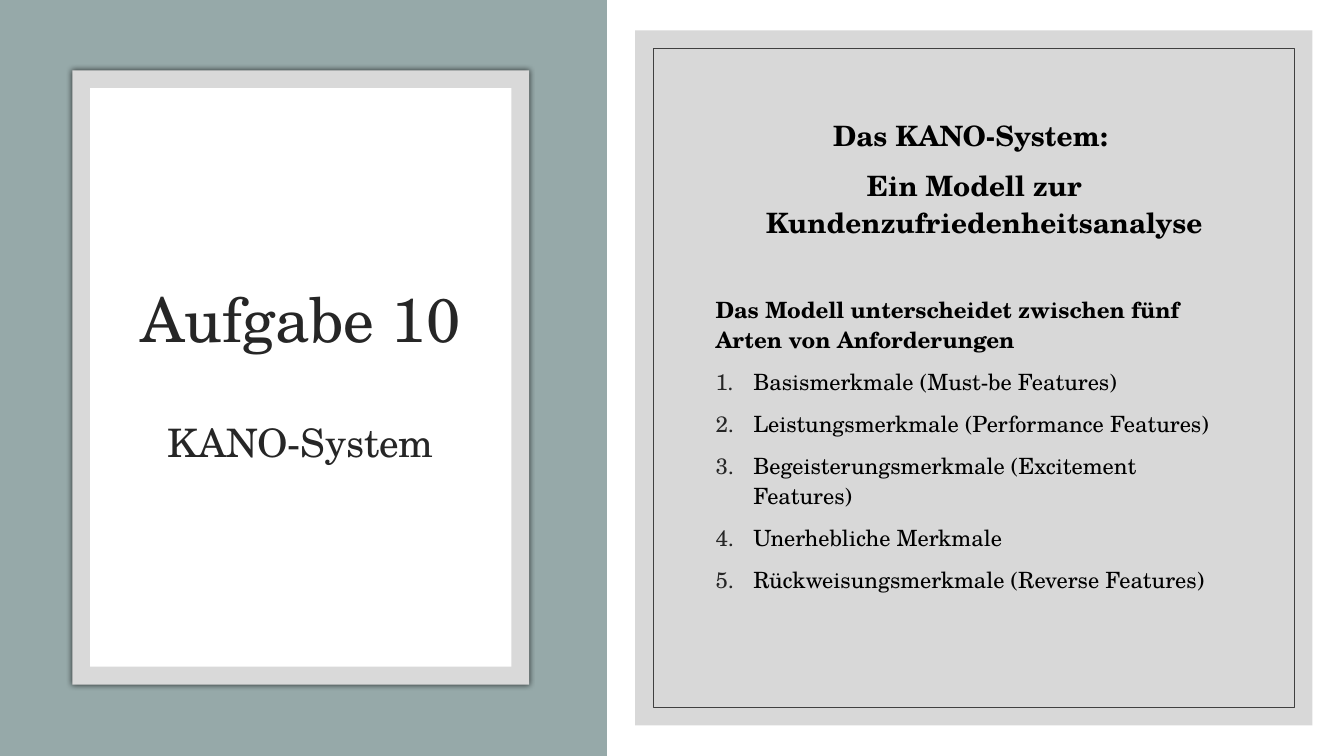
from lxml import etree
from pptx import Presentation
from pptx.dml.color import RGBColor
from pptx.enum.shapes import MSO_SHAPE
from pptx.enum.text import MSO_ANCHOR, PP_ALIGN
from pptx.oxml.ns import qn
from pptx.util import Pt

PX = 9525
FONT = "TeX Gyre Schola"
RECTANGLE = MSO_SHAPE.RECTANGLE
CENTER, LEFT = PP_ALIGN.CENTER, PP_ALIGN.LEFT
TOP, MIDDLE = MSO_ANCHOR.TOP, MSO_ANCHOR.MIDDLE

WHITE = RGBColor(0xFF, 0xFF, 0xFF)
BLACK = RGBColor(0x00, 0x00, 0x00)
SAGE = RGBColor(0x96, 0xA9, 0xA9)
FRAME_GRAY = RGBColor(0xD9, 0xD9, 0xD9)
PANEL_GRAY = RGBColor(0xBF, 0xBF, 0xBF)
OUTLINE = RGBColor(0x40, 0x40, 0x40)
INK = RGBColor(0x26, 0x26, 0x26)

HEADINGS = ["Das KANO-System: ", "Ein Modell zur Kundenzufriedenheitsanalyse"]
INTRO = "Das Modell unterscheidet zwischen fünf Arten von Anforderungen"
FEATURES = [
    "Basismerkmale (Must-be Features)",
    "Leistungsmerkmale (Performance Features)",
    "Begeisterungsmerkmale (Excitement Features)",
    "Unerhebliche Merkmale",
    "Rückweisungsmerkmale (Reverse Features)",
]


def inset(box, margin):
    left, top, width, height = box
    return left + margin, top + margin, width - 2 * margin, height - 2 * margin


def add_rectangle(slide, box, fill=None, line=None):
    shape = slide.shapes.add_shape(RECTANGLE, *(value * PX for value in box))
    shape.shadow.inherit = False
    if fill is None:
        shape.fill.background()
    else:
        shape.fill.solid()
        shape.fill.fore_color.rgb = fill
    if line is None:
        shape.line.fill.background()
    else:
        shape.line.color.rgb = line
        shape.line.width = Pt(0.5)
    return shape


def add_alpha(color_element, percent):
    etree.SubElement(color_element, qn("a:alpha"), val=str(percent * 1000))


def add_shadow(shape):
    effects = shape._element.spPr.find(qn("a:effectLst"))
    shadow = etree.SubElement(effects, qn("a:outerShdw"), blurRad=str(Pt(4)), dist="0", dir="0")
    add_alpha(etree.SubElement(shadow, qn("a:srgbClr"), val=str(BLACK)), 66)


def add_text_frame(slide, box, anchor):
    frame = slide.shapes.add_textbox(*(value * PX for value in box)).text_frame
    frame.word_wrap = True
    frame.vertical_anchor = anchor
    frame.margin_top = frame.margin_bottom = 0
    return frame


def add_paragraph(frame, text, size, color, spacing, before=0, align=LEFT,
                  bold=False, hanging=0, numbered=False):
    first = frame.paragraphs[0]
    paragraph = frame.add_paragraph() if first.runs else first
    properties = paragraph._p.get_or_add_pPr()
    if hanging:
        properties.set("marL", str(hanging * PX))
        properties.set("indent", str(-hanging * PX))
    if numbered:
        bullet_color = etree.SubElement(properties, qn("a:buClr"))
        etree.SubElement(bullet_color, qn("a:srgbClr"), val=str(INK))
        etree.SubElement(properties, qn("a:buFont"), typeface=FONT)
        etree.SubElement(properties, qn("a:buAutoNum"), type="arabicPeriod")
    paragraph.alignment = align
    paragraph.line_spacing = spacing
    paragraph.space_before = Pt(before)
    run = paragraph.add_run()
    run.text = text
    run.font.name = FONT
    run.font.size = Pt(size)
    run.font.bold = bold
    run.font.color.rgb = color


def add_title_panel(slide, box):
    left, top, width, height = box
    add_rectangle(slide, box, SAGE)
    card = (left + 69, top + 67, 435, 585)
    add_shadow(add_rectangle(slide, card, FRAME_GRAY))
    page = inset(card, 17)
    add_rectangle(slide, page, WHITE)
    frame = add_text_frame(slide, inset(page, 17), MIDDLE)
    add_paragraph(frame, "Aufgabe 10", 44, INK, 0.9, align=CENTER)
    add_paragraph(frame, "KANO-System", 28, INK, 0.9, before=48, align=CENTER)


def add_model_panel(slide, box):
    left, top, width, height = box
    panel = add_rectangle(slide, box, PANEL_GRAY)
    add_alpha(panel._element.spPr.find(qn("a:solidFill"))[0], 60)
    add_rectangle(slide, inset(box, 17), line=OUTLINE)
    frame = add_text_frame(slide, (left + 67, top + 81, 512, 457), TOP)
    for index, heading in enumerate(HEADINGS):
        add_paragraph(frame, heading, 20, BLACK, 1.1, before=9 if index else 0,
                      align=CENTER, bold=True, hanging=19)
    add_paragraph(frame, INTRO, 16, BLACK, 1.1, before=39, bold=True)
    for feature in FEATURES:
        add_paragraph(frame, feature, 16, BLACK, 1.1, before=9, hanging=36, numbered=True)


def main():
    presentation = Presentation()
    presentation.slide_width = 1280 * PX
    presentation.slide_height = 720 * PX
    slide = presentation.slides.add_slide(presentation.slide_layouts[6])
    add_title_panel(slide, (0, 0, 578, 720))
    add_model_panel(slide, (605, 29, 645, 662))
    presentation.save("out.pptx")


if __name__ == "__main__":
    main()
